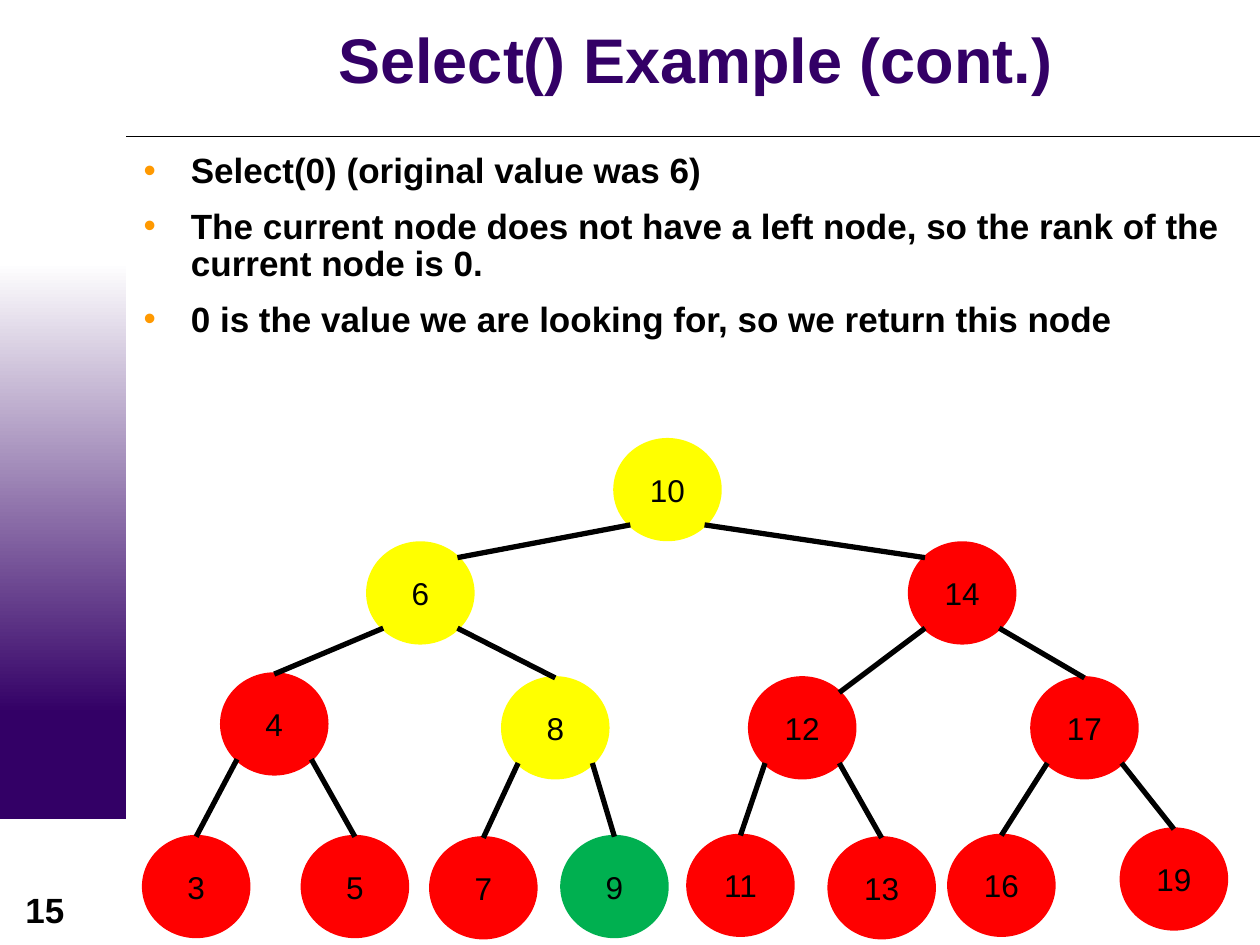
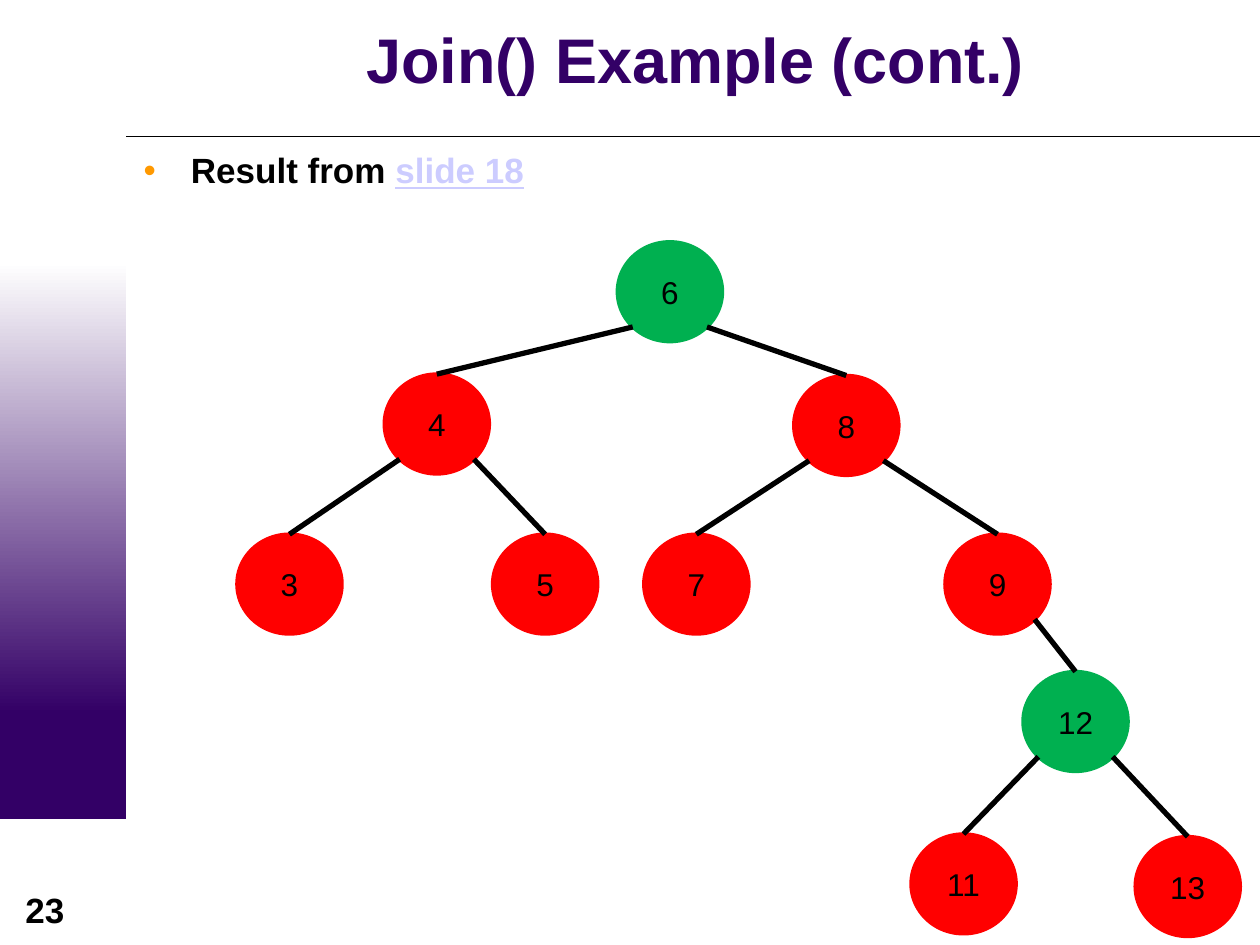
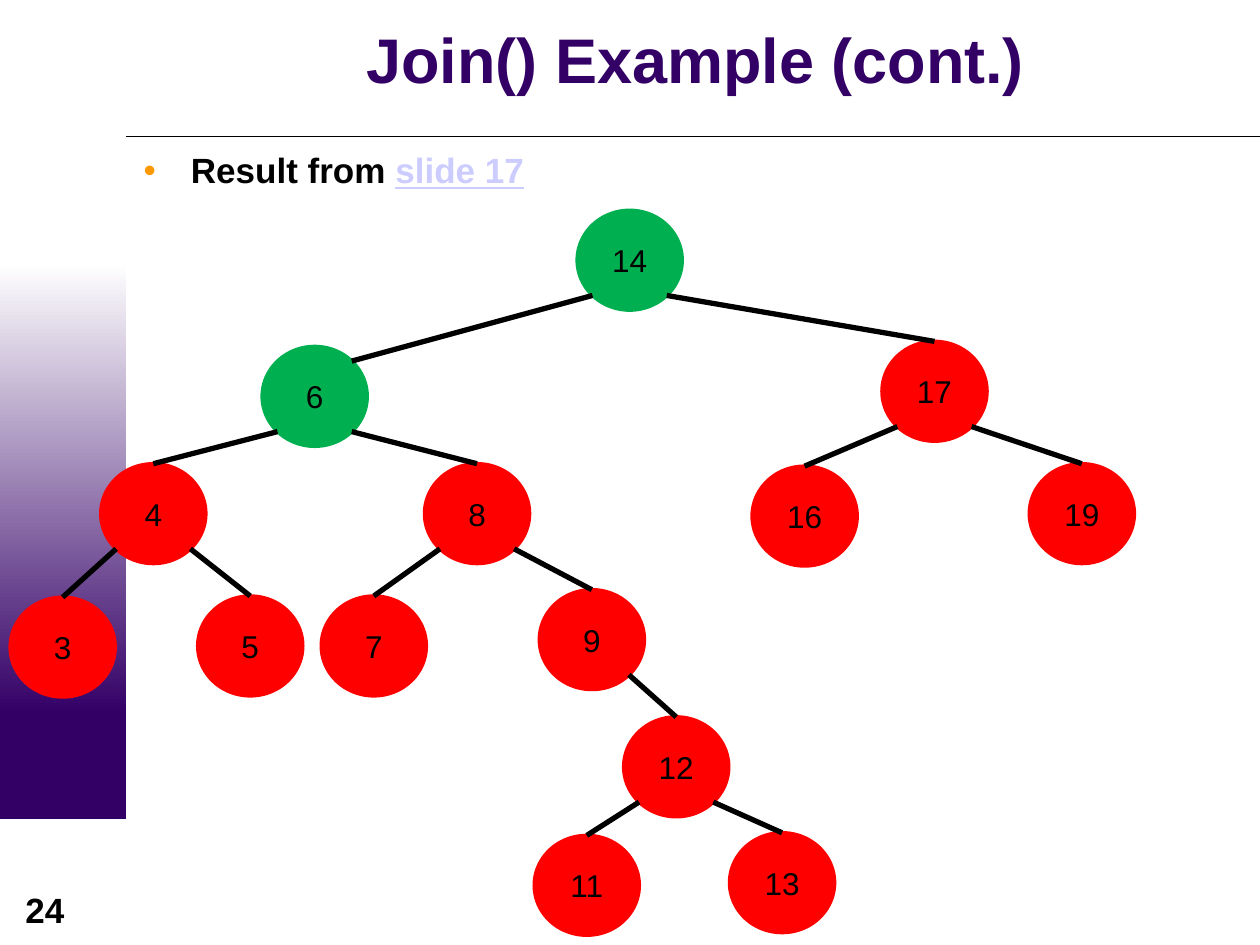
from collections import namedtuple
from dataclasses import dataclass

from lxml.etree import SubElement
from pptx import Presentation
from pptx.dml.color import RGBColor
from pptx.enum.shapes import MSO_CONNECTOR, MSO_SHAPE
from pptx.enum.text import MSO_ANCHOR, PP_ALIGN
from pptx.oxml.ns import qn
from pptx.util import Pt

Box = namedtuple("Box", "x y w h")
Node = namedtuple("Node", "key top x y")  # top: key of the parent


@dataclass(frozen=True)
class Theme:
    font: str = "Arial"
    ink: str = "000000"
    brand: str = "330066"
    white: str = "FFFFFF"
    dot: str = "FF9900"
    link: str = "CCCCFF"
    red: str = "FF0000"
    gold: str = "FFFF00"
    green: str = "00B050"
    head: int = 36
    body: int = 20
    node: int = 18


T = Theme()
PAGE = Box(0, 0, 720, 540)
BAND = Box(0, 149.8, 72, 318.2)
RULE = Box(72, 78, 648, 0)
HEAD = Box(75, 2, 645, 69)
BODY = Box(75, 84.2, 645, 455.8)
FOOT = Box(-1.4, 504, 54, 31.5)
NODE_W, NODE_H = 60, 57
SLANT = 0.5 ** 0.5 / 2  # offset of an oval's diagonal point, per unit of size


def color(code):
    return RGBColor.from_string(code)


def put(para, text, size, tint=T.ink, bold=True, under=None):
    run = para.add_run()
    run.text = text
    font = run.font
    font.name, font.size, font.bold = T.font, Pt(size), bold
    font.color.rgb = color(tint)
    font.underline = under


def frame(slide, box):
    text = slide.shapes.add_textbox(*map(Pt, box)).text_frame
    text.word_wrap = True
    return text


def solid(slide, kind, box, tint):
    shape = slide.shapes.add_shape(kind, *map(Pt, box))
    shape.shadow.inherit = False
    shape.fill.solid()
    shape.fill.fore_color.rgb = color(tint)
    shape.line.fill.background()
    return shape


def line(slide, start, end, width):
    link = slide.shapes.add_connector(
        MSO_CONNECTOR.STRAIGHT, *map(Pt, (*start, *end)))
    link.line.color.rgb = color(T.ink)
    link.line.width = Pt(width)
    SubElement(link._element.spPr, qn("a:effectLst"))
    return link


# Side band: a solid foot with a fade above it
def band(slide, box):
    foot = Box(box.x, box.y + box.h - 72, box.w, 72)
    solid(slide, MSO_SHAPE.RECTANGLE, foot, T.brand)
    fade = solid(slide, MSO_SHAPE.RECTANGLE,
                 box._replace(h=box.h - 60.4), T.brand).fill
    fade.gradient()
    fade.gradient_angle = 270
    for stop, tint in zip(fade.gradient_stops, (T.white, T.brand)):
        stop.color.rgb = color(tint)


# Slide number
def number(slide, box, page):
    para = frame(slide, box).paragraphs[0]
    para.alignment = PP_ALIGN.CENTER
    put(para, str(page), T.body)


# Title
def title(slide, box, text):
    area = frame(slide, box)
    area.margin_top = area.margin_bottom = 0
    area.vertical_anchor = MSO_ANCHOR.MIDDLE
    para = area.paragraphs[0]
    para.alignment = PP_ALIGN.CENTER
    para.line_spacing = 0.85
    put(para, text, T.head, T.brand)


# Bullet list: each item is a text and an optional link text
def points(slide, box, items):
    area = frame(slide, box)
    for i, (text, *links) in enumerate(items):
        para = area.add_paragraph() if i else area.paragraphs[0]
        para.line_spacing = 0.9
        para.space_before = para.space_after = Pt(5)
        props = para._p.get_or_add_pPr()
        props.set("marL", str(Pt(27)))
        props.set("indent", str(-Pt(27)))
        tint = SubElement(props, qn("a:buClr"))
        SubElement(tint, qn("a:srgbClr"), val=T.dot)
        SubElement(props, qn("a:buFont"), typeface=T.font)
        SubElement(props, qn("a:buChar"), char="•")
        put(para, text, T.body)
        for link in links:
            put(para, link, T.body, T.link, under=True)


def oval(slide, box, key, tint):
    shape = solid(slide, MSO_SHAPE.FLOWCHART_CONNECTOR, box, tint)
    shape.line.color.rgb = color(tint)
    shape.line.width = Pt(2)
    area = shape.text_frame
    area.margin_left = area.margin_right = 0
    area.vertical_anchor = MSO_ANCHOR.MIDDLE
    para = area.paragraphs[0]
    para.alignment = PP_ALIGN.CENTER
    put(para, str(key), T.node, bold=False)
    return shape


def corner(box, dx, dy):
    return (box.x + box.w * (0.5 + dx * SLANT),
            box.y + box.h * (0.5 + dy * SLANT))


# Search tree: smaller keys hang left; keys in "bent" join at a top corner
def tree(slide, box, nodes, tints, bent):
    spots = {n.key: Box(box.x + n.x, box.y + n.y, NODE_W, NODE_H)
             for n in nodes}
    ovals = {key: oval(slide, spot, key, tints.get(key, T.red))
             for key, spot in spots.items()}
    for key, top, *_ in nodes:
        if top is None:
            continue
        side = -1 if key < top else 1
        start, spot = corner(spots[top], side, 1), spots[key]
        if key in bent:
            line(slide, start, corner(spot, -side, -1), 3)
        else:
            edge = line(slide, start, (spot.x + spot.w / 2, spot.y), 3)
            edge.end_connect(ovals[key], 0)


def page(deck, num, name, items, nodes, tints, bent=()):
    slide = deck.slides.add_slide(deck.slide_layouts[6])
    band(slide, BAND)
    line(slide, RULE[:2], (RULE.x + RULE.w, RULE.y), 0.75)
    number(slide, FOOT, num)
    title(slide, HEAD, name)
    points(slide, BODY, items)
    tree(slide, PAGE, [Node(*n) for n in nodes], tints, bent)


SELECT = [
    (10, None, 351.4, 251.3),
    (6, 10, 210.2, 310.3), (14, 10, 519.8, 310.3),
    (4, 6, 126.7, 385.2), (8, 6, 287.3, 387.4),
    (12, 14, 428.4, 387.4), (17, 14, 589.7, 387.4),
    (3, 4, 82.1, 478.1), (5, 4, 172.8, 478.1),
    (7, 8, 246.2, 478.8), (9, 8, 321.1, 478.1),
    (11, 12, 393.1, 477.4), (13, 12, 473.8, 478.8),
    (16, 17, 542.2, 477.4), (19, 17, 640.8, 473.8),
]
SMALL = [
    (6, None, 352.8, 138.2),
    (4, 6, 219.6, 213.8), (8, 6, 453.6, 214.6),
    (3, 4, 135.4, 305.3), (5, 4, 281.5, 305.3),
    (7, 8, 367.9, 305.3), (9, 8, 540, 305.3),
    (12, 9, 584.6, 383.8),
    (11, 12, 520.6, 476.6), (13, 12, 648.7, 478.1),
]
FULL = [
    (14, None, 329.8, 120.2),
    (6, 14, 149.8, 198), (17, 14, 504, 195.1),
    (4, 6, 57.6, 265), (8, 6, 242.6, 265),
    (16, 17, 429.8, 266.4), (19, 17, 588.2, 265),
    (3, 4, 5.8, 341.3), (5, 4, 113, 340.6),
    (7, 8, 183.6, 340.6), (9, 8, 308.2, 337),
    (12, 9, 356.4, 409.7),
    (11, 12, 305.3, 477.4), (13, 12, 416.9, 475.9),
]


def main():
    deck = Presentation()
    deck.slide_width, deck.slide_height = Pt(PAGE.w), Pt(PAGE.h)
    page(deck, 15, "Select() Example (cont.)", [
        ("Select(0) (original value was 6)",),
        ("The current node does not have a left node, so the rank of the "
         "current node is 0.",),
        ("0 is the value we are looking for, so we return this node",),
    ], SELECT, {10: T.gold, 6: T.gold, 8: T.gold, 9: T.green}, (6, 14, 12))
    join = "Join() Example (cont.)"
    page(deck, 23, join, [("Result from ", "slide 18")],
         SMALL, {6: T.green, 12: T.green})
    page(deck, 24, join, [("Result from ", "slide 17")],
         FULL, {14: T.green, 6: T.green}, (6,))
    deck.save("out.pptx")


if __name__ == "__main__":
    main()
